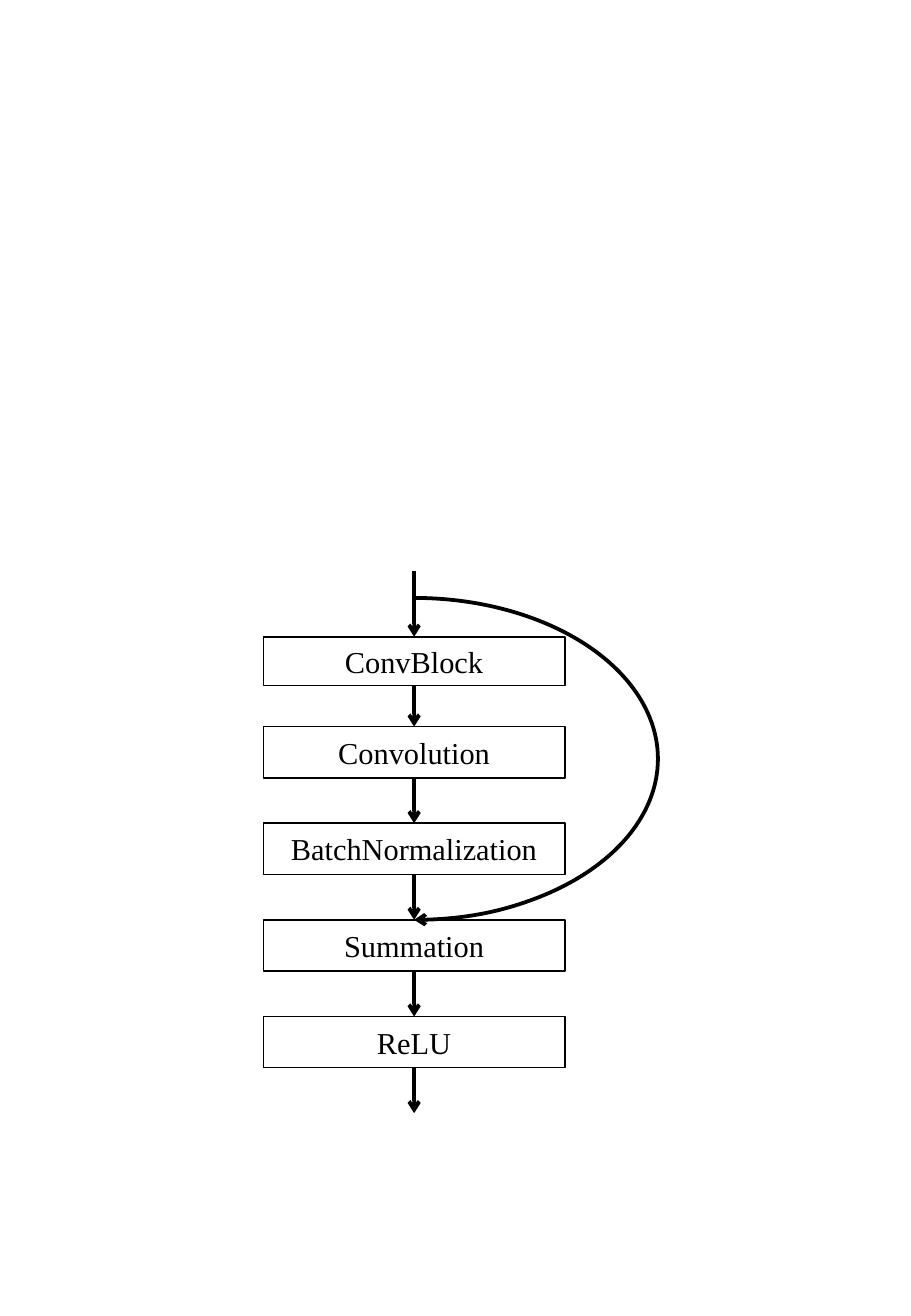
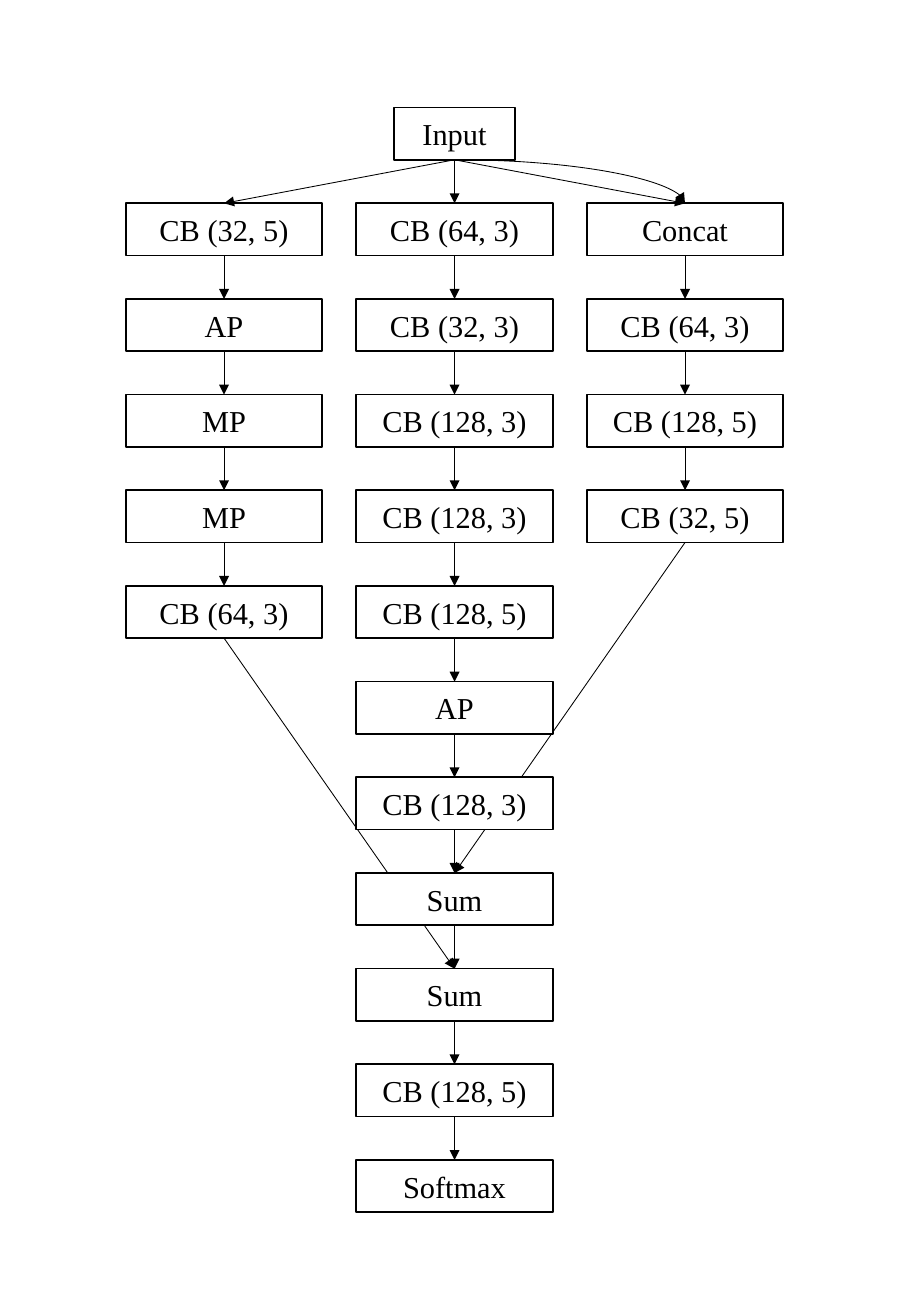
from dataclasses import dataclass
from itertools import pairwise

from lxml.etree import SubElement
from pptx import Presentation
from pptx.dml.color import RGBColor
from pptx.enum.shapes import MSO_CONNECTOR, MSO_SHAPE
from pptx.enum.text import MSO_ANCHOR, PP_ALIGN
from pptx.oxml.ns import qn
from pptx.util import Cm, Pt

BLACK, WHITE = "000000", "FFFFFF"
TEXT_FORMAT = {"size": Pt(18), "name": "Times New Roman"}
FRAME_FORMAT = {"vertical_anchor": MSO_ANCHOR.MIDDLE, "word_wrap": True}
BOX_LINE = 1
HEAVY_ARROW = {"width": 2.25, "head": "arrow"}
FINE_ARROW = {"width": 0.5, "head": "triangle"}


@dataclass
class Box:
    """A rectangle in centimetres with an optional label."""

    left: float
    top: float
    width: float
    height: float
    label: str = ""

    @property
    def center(self):
        """Return the horizontal middle."""
        return self.left + self.width / 2

    @property
    def bottom(self):
        """Return the lower edge."""
        return self.top + self.height

    def lengths(self):
        """Return the position and size as slide lengths."""
        return [Cm(value) for value in (self.left, self.top, self.width, self.height)]


def color(value):
    """Turn a hex string into a colour."""
    return RGBColor.from_string(value)


def apply_format(target, values):
    """Set every attribute named in the values."""
    for name, value in values.items():
        setattr(target, name, value)


def set_line(shape, width, head=None):
    """Give a shape a black line and, if named, an arrowhead at its end."""
    shape.line.color.rgb = color(BLACK)
    shape.line.width = Pt(width)
    if head:
        SubElement(shape.line._get_or_add_ln(), qn("a:tailEnd"), type=head)


def add_block(slide, box):
    """Draw a labelled rectangle."""
    shape = slide.shapes.add_shape(MSO_SHAPE.RECTANGLE, *box.lengths())
    shape.shadow.inherit = False
    shape.fill.solid()
    shape.fill.fore_color.rgb = color(WHITE)
    set_line(shape, BOX_LINE)
    apply_format(shape.text_frame, FRAME_FORMAT)
    paragraph = shape.text_frame.paragraphs[0]
    paragraph.alignment = PP_ALIGN.CENTER
    run = paragraph.add_run()
    run.text = box.label
    apply_format(run.font, TEXT_FORMAT)
    run.font.color.rgb = color(BLACK)


def add_arrow(slide, start, end, style, kind=MSO_CONNECTOR.STRAIGHT):
    """Draw an arrow between two points given in centimetres."""
    connector = slide.shapes.add_connector(kind, *[Cm(value) for value in (*start, *end)])
    set_line(connector, **style)
    SubElement(connector._element.spPr, qn("a:effectLst"))
    return connector


def link(slide, source, target, style, kind=MSO_CONNECTOR.STRAIGHT):
    """Draw an arrow from the bottom of one box to the top of another."""
    start, end = (source.center, source.bottom), (target.center, target.top)
    return add_arrow(slide, start, end, style, kind)


def add_chain(slide, boxes, style):
    """Draw a column of boxes joined by arrows."""
    for box in boxes:
        add_block(slide, box)
    for source, target in pairwise(boxes):
        link(slide, source, target, style)


def add_residual_block(slide, area):
    """Draw a chain of layers with a curved skip connection."""
    entry, exit_length, first_height, height = 1.37, 0.95, 1.02, 1.07
    first_pitch, pitch, skip_offset, skip_radius = 1.88, 2.02, 0.56, 5.1
    first_top = area.top + entry
    layers = [Box(area.left, first_top, area.width, first_height, "ConvBlock")]
    for index, label in enumerate(["Convolution", "BatchNormalization", "Summation", "ReLU"]):
        top = first_top + first_pitch + index * pitch
        layers.append(Box(area.left, top, area.width, height, label))
    add_chain(slide, layers, HEAVY_ARROW)

    middle, last, summation = area.center, layers[-1], layers[3]
    add_arrow(slide, (middle, area.top), (middle, first_top), HEAVY_ARROW)
    add_arrow(slide, (middle, last.bottom), (middle, last.bottom + exit_length), HEAVY_ARROW)

    skip_top = area.top + skip_offset
    skip = Box(middle - skip_radius, skip_top, 2 * skip_radius, summation.top - skip_top)
    arc = slide.shapes.add_shape(MSO_SHAPE.ARC, *skip.lengths())
    arc.adjustments[0], arc.adjustments[1] = 162, 54
    arc.shadow.inherit = False
    arc.fill.background()
    set_line(arc, **HEAVY_ARROW)


def add_network(slide, area):
    """Draw three branches that share an input and merge in sums."""
    width, height, input_width, row_pitch = 4.11, 1.09, 2.54, 2
    column_pitch = (area.width - width) / 2
    branches = [
        ["CB (32, 5)", "AP", "MP", "MP", "CB (64, 3)"],
        ["CB (64, 3)", "CB (32, 3)", "CB (128, 3)", "CB (128, 3)", "CB (128, 5)", "AP",
         "CB (128, 3)", "Sum", "Sum", "CB (128, 5)", "Softmax"],
        ["Concat", "CB (64, 3)", "CB (128, 5)", "CB (32, 5)"],
    ]
    columns = [
        [Box(area.left + column * column_pitch, area.top + row * row_pitch, width, height, label)
         for row, label in enumerate(labels, 1)]
        for column, labels in enumerate(branches)
    ]
    left, middle, right = columns
    first_sum, second_sum = [box for box in middle if box.label == "Sum"]
    link(slide, left[-1], second_sum, FINE_ARROW)
    link(slide, right[-1], first_sum, FINE_ARROW)

    source = Box(area.center - input_width / 2, area.top, input_width, height, "Input")
    add_block(slide, source)
    for boxes in columns:
        add_chain(slide, boxes, FINE_ARROW)
        link(slide, source, boxes[0], FINE_ARROW)
    curve = link(slide, source, right[0], FINE_ARROW, MSO_CONNECTOR.CURVE)
    curve._element.spPr.find(qn("a:prstGeom")).set("prst", "curvedConnector2")


def main():
    """Build both slides and save the presentation."""
    presentation = Presentation()
    apply_format(presentation, {"slide_width": Cm(19.05), "slide_height": Cm(27.51)})
    diagrams = [
        (add_residual_block, Box(5.51, 11.94, 6.3, 11.33)),
        (add_network, Box(2.63, 2.25, 13.75, 23.09)),
    ]
    for draw, area in diagrams:
        draw(presentation.slides.add_slide(presentation.slide_layouts[6]), area)
    presentation.save("out.pptx")


main()
